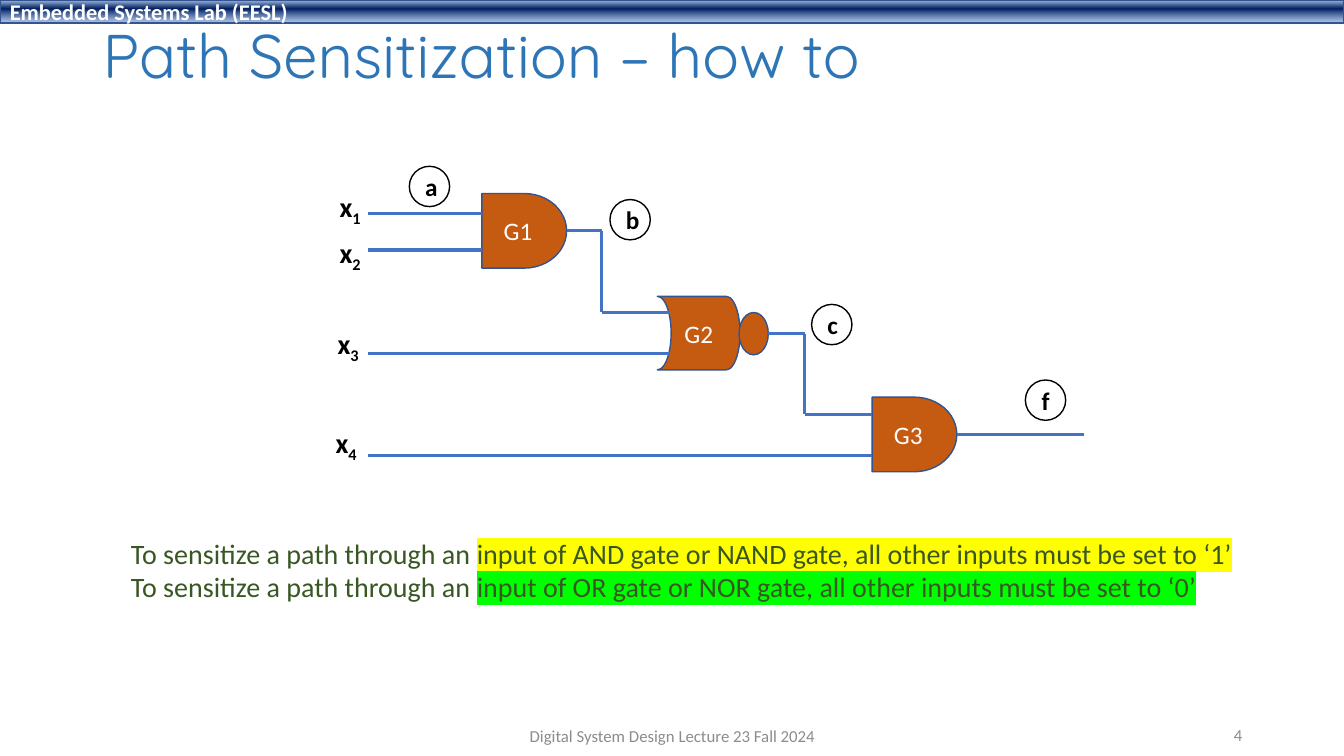
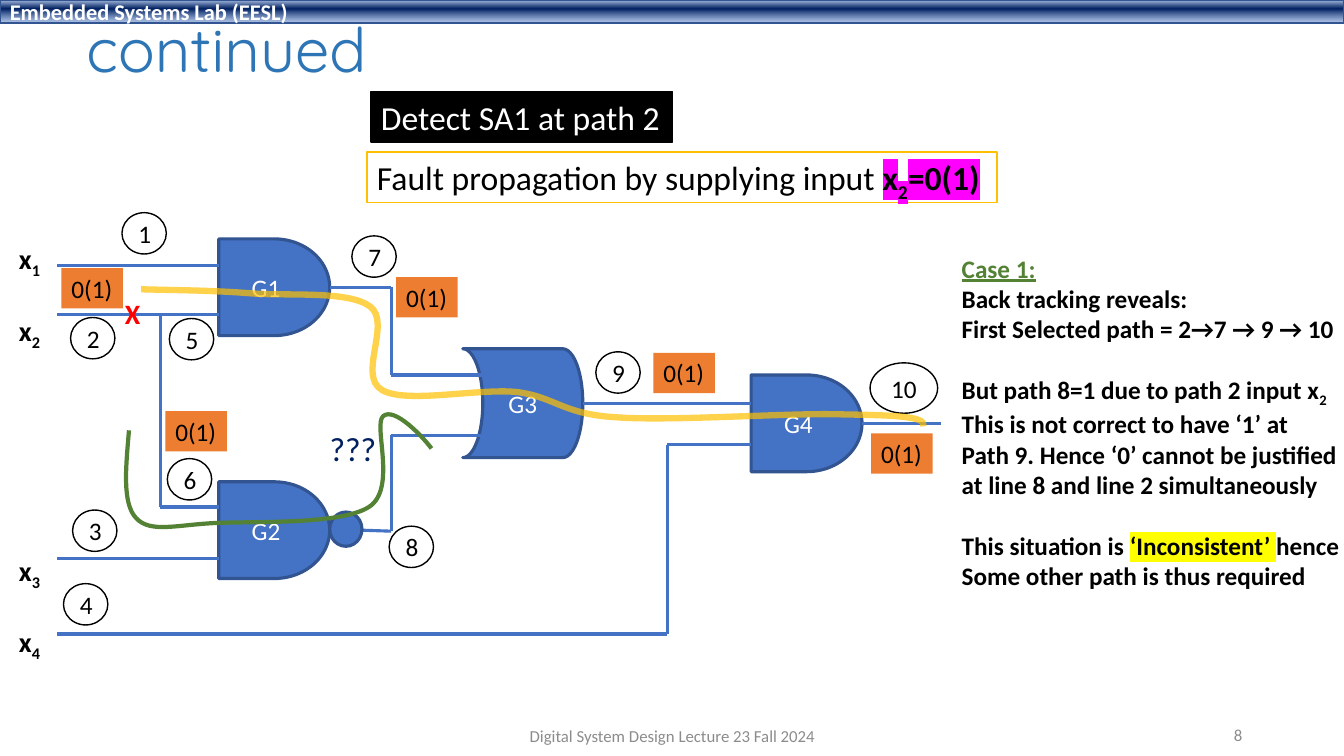
from lxml import etree
from pptx import Presentation
from pptx.dml.color import RGBColor
from pptx.enum.shapes import MSO_CONNECTOR, MSO_SHAPE
from pptx.enum.text import MSO_ANCHOR, MSO_AUTO_SIZE, PP_ALIGN
from pptx.oxml.ns import qn
from pptx.util import Inches, Pt

BLACK = RGBColor(0x00, 0x00, 0x00)
WHITE = RGBColor(0xFF, 0xFF, 0xFF)
BLUE = RGBColor(0x44, 0x72, 0xC4)
OUTLINE = RGBColor(0x32, 0x54, 0x91)
TITLE_BLUE = RGBColor(0x2E, 0x75, 0xB6)
NAVY = RGBColor(0x00, 0x20, 0x60)
RUST = RGBColor(0xC5, 0x5A, 0x11)
ORANGE = RGBColor(0xED, 0x7D, 0x31)
GOLD = RGBColor(0xFF, 0xC0, 0x00)
GREEN = RGBColor(0x54, 0x82, 0x35)
DARK_GREEN = RGBColor(0x38, 0x57, 0x23)
GREY = RGBColor(0x8C, 0x8C, 0x8C)
RED = RGBColor(0xFF, 0x00, 0x00)
YELLOW = RGBColor(0xFF, 0xFF, 0x00)
LIME = RGBColor(0x00, 0xFF, 0x00)
MAGENTA = RGBColor(0xFF, 0x00, 0xFF)
BAND_STOPS = [
    (2, RGBColor(0xAB, 0xC0, 0xE4), 100),
    (38, NAVY, 100),
    (93, RGBColor(0x7E, 0x9E, 0xD6), 64),
]
AND = MSO_SHAPE.FLOWCHART_DELAY
OR = MSO_SHAPE.FLOWCHART_STORED_DATA
SUB = {"sub": True}


def add_color(parent, color, alpha=100):
    clr = etree.SubElement(parent, qn("a:srgbClr"), val=str(color))
    if alpha < 100:
        etree.SubElement(clr, qn("a:alpha"), val=str(alpha * 1000))


def add_run(p, text, size=18, color=BLACK, bold=False, underline=False,
            sub=False, highlight=None, font="Calibri"):
    r = p.add_run()
    r.text = text
    r.font.size = Pt(size)
    r.font.bold = bold
    r.font.underline = underline
    r.font.color.rgb = color
    rpr = r.font._element
    if sub:
        rpr.set("baseline", "-25000")
    if highlight is not None:
        add_color(etree.SubElement(rpr, qn("a:highlight")), highlight)
    r.font.name = font


def fill_text(tf, paragraphs, align=PP_ALIGN.LEFT, **style):
    for i, runs in enumerate(paragraphs):
        p = tf.paragraphs[0] if i == 0 else tf.add_paragraph()
        p.alignment = align
        for text, changes in runs:
            add_run(p, text, **{**style, **changes})


def text_box(s, x, y, w, h, paragraphs, wrap=False, anchor=MSO_ANCHOR.TOP, **style):
    sp = s.shapes.add_textbox(Inches(x), Inches(y), Inches(w), Inches(h))
    tf = sp.text_frame
    tf.word_wrap = wrap
    tf.auto_size = MSO_AUTO_SIZE.NONE if wrap else MSO_AUTO_SIZE.SHAPE_TO_FIT_TEXT
    tf.vertical_anchor = anchor
    fill_text(tf, paragraphs, **style)
    return sp


def shape(s, kind, x, y, w, h, fill=None, line=OUTLINE, width=1.0):
    sp = s.shapes.add_shape(kind, Inches(x), Inches(y), Inches(w), Inches(h))
    sp.shadow.inherit = False
    if fill is None:
        sp.fill.background()
    else:
        sp.fill.solid()
        sp.fill.fore_color.rgb = fill
    sp.line.color.rgb = line
    sp.line.width = Pt(width)
    sp.text_frame.vertical_anchor = MSO_ANCHOR.MIDDLE
    return sp


def gate(s, kind, name, x, y, w, h, fill, width):
    sp = shape(s, kind, x, y, w, h, fill, width=width)
    if kind == OR:
        sp._element.spPr.xfrm.set("flipH", "1")
    fill_text(sp.text_frame, [[(name, {})]], PP_ALIGN.CENTER, color=WHITE)
    return sp


def node(s, name, x, y, w, h, bold=False):
    sp = shape(s, MSO_SHAPE.OVAL, x, y, w, h, line=BLACK)
    fill_text(sp.text_frame, [[(name, {})]], PP_ALIGN.CENTER, bold=bold)


def wire(s, *points, source=None):
    for i, ((x1, y1), (x2, y2)) in enumerate(zip(points, points[1:])):
        cn = s.shapes.add_connector(
            MSO_CONNECTOR.STRAIGHT, Inches(x1), Inches(y1), Inches(x2), Inches(y2))
        cn.line.color.rgb = BLUE
        cn.line.width = Pt(2.25)
        etree.SubElement(cn._element.spPr, qn("a:effectLst"))
        if source is not None and i == 0:
            cn.begin_connect(source, 3)


def input_label(s, number, x, y):
    text_box(s, x, y, 0.43, 0.44, [[("x", {}), (str(number), SUB)]], size=20, bold=True)


def fault_tag(s, x, y):
    sp = text_box(s, x, y, 0.61, 0.4, [[("0(1)", {})]])
    sp.fill.solid()
    sp.fill.fore_color.rgb = ORANGE


def banner(s, x, y, w, runs, fill, line, color):
    sp = text_box(s, x, y, w, 0.5, [runs], size=24, color=color)
    sp.fill.solid()
    sp.fill.fore_color.rgb = fill
    sp.line.color.rgb = line
    sp.line.width = Pt(1)


def curve(s, points, color, width, alpha=100):
    (x, y), *rest = [(Inches(px), Inches(py)) for px, py in points]
    fb = s.shapes.build_freeform(x, y)
    fb.add_line_segments(rest, close=False)
    sp = fb.convert_to_shape()
    segments = list(sp._element.spPr.iter(qn("a:lnTo")))
    for i in range(0, len(segments), 3):
        bend = etree.Element(qn("a:cubicBezTo"))
        segments[i].addprevious(bend)
        for segment in segments[i:i + 3]:
            bend.append(segment[0])
            segment.getparent().remove(segment)
    sp.shadow.inherit = False
    sp.fill.background()
    sp.line.width = Pt(width)
    sp.line.color.rgb = color
    if alpha < 100:
        solid = sp.line._ln.find(qn("a:solidFill"))
        solid.remove(solid[0])
        add_color(solid, color, alpha)


def band(s):
    sp = shape(s, MSO_SHAPE.RECTANGLE, 0, 0, 13.33, 0.23)
    sp.fill.gradient()
    sp.fill.gradient_angle = 270
    stops = sp._element.spPr.find(qn("a:gradFill")).find(qn("a:gsLst"))
    for gs in list(stops):
        stops.remove(gs)
    for pos, color, alpha in BAND_STOPS:
        add_color(etree.SubElement(stops, qn("a:gs"), pos=str(pos * 1000)), color, alpha)
    fill_text(sp.text_frame, [[("Embedded Systems Lab (EESL)", {})]],
              size=16, color=WHITE, bold=True)


def new_slide(prs, title, x, y, h, number):
    s = prs.slides.add_slide(prs.slide_layouts[6])
    band(s)
    middle = {"wrap": True, "anchor": MSO_ANCHOR.MIDDLE}
    sp = text_box(s, x, y, 11.5, h, [[(title, {})]], size=44, color=TITLE_BLUE,
                  font="Quicksand", **middle)
    sp.text_frame.paragraphs[0].line_spacing = 0.9
    text_box(s, 4.42, 7.1, 4.5, 0.4, [[("Digital System Design Lecture 23 Fall 2024", {})]],
             align=PP_ALIGN.CENTER, size=12, color=GREY, **middle)
    text_box(s, 9.42, 7.09, 3, 0.4, [[(str(number), {})]],
             align=PP_ALIGN.RIGHT, size=12, color=GREY, **middle)
    return s


def how_to_slide(prs):
    s = new_slide(prs, "Path Sensitization – how to", 0.92, 0.09, 0.99, 4)
    g1 = gate(s, AND, "G1", 4.78, 1.92, 0.84, 0.74, RUST, 1)
    gate(s, OR, "G2", 6.52, 2.94, 0.82, 0.73, RUST, 1)
    shape(s, MSO_SHAPE.OVAL, 7.33, 3.1, 0.29, 0.42, RUST)
    g3 = gate(s, AND, "G3", 8.65, 3.94, 0.84, 0.74, RUST, 1)

    for y, end in [(2.12, 4.78), (2.48, 4.78), (3.51, 6.65), (4.52, 8.65)]:
        wire(s, (3.65, y), (end, y))
    wire(s, (5.62, 2.29), (5.97, 2.29), (5.97, 3.1), (6.65, 3.1), source=g1)
    wire(s, (7.62, 3.31), (7.98, 3.31), (7.98, 4.11), (8.65, 4.11))
    wire(s, (9.49, 4.31), (10.75, 4.31), source=g3)

    for i, (x, y) in enumerate([(3.27, 1.83), (3.27, 2.29), (3.25, 3.19), (3.23, 4.17)], 1):
        input_label(s, i, x, y)
    for name, x, y in [("a", 4.06, 1.65), ("b", 6.05, 1.98), ("c", 8.05, 3.02), ("f", 10.17, 3.77)]:
        node(s, name, x, y, 0.4, 0.4, bold=True)

    rules = [("AND gate or NAND", 1, YELLOW), ("OR gate or NOR", 0, LIME)]
    text_box(s, 1.2, 5.27, 11.22, 0.77, [
        [("To sensitize a path through an ", {}),
         (f"input of {gates} gate, all other inputs must be set to ‘{value}’", {"highlight": color})]
        for gates, value, color in rules], size=20, color=DARK_GREEN)


def case_notes(s):
    sp = text_box(s, 9.44, 2.46, 3.97, 3.43, [
        [("Case 1:", {"color": GREEN, "underline": True})],
        [("Back tracking reveals:", {})],
        [("First Selected path = 2→7 → 9 → 10", {})],
        [("But path 8=1 due to path 2 input x", {}), ("2", SUB)],
        [("This is not correct to have ‘1’ at", {})],
        [("Path 9. Hence ‘0’ cannot be justified", {})],
        [("at line 8 and line 2 simultaneously", {})],
        [("This situation is ", {}), ("‘Inconsistent’ ", {"highlight": YELLOW}), ("hence", {})],
        [("Some other path is thus required", {})],
    ], bold=True)
    for i in (3, 7):
        sp.text_frame.paragraphs[i].space_before = Pt(22)


def continued_slide(prs):
    s = new_slide(prs, "continued", 0.76, 0.12, 0.81, 8)
    case_notes(s)
    banner(s, 3.68, 0.91, 2.99, [("Detect SA1 at path 2", {})], BLACK, BLACK, WHITE)
    mark = {"bold": True, "highlight": MAGENTA}
    banner(s, 3.64, 1.51, 6.25, [
        ("Fault propagation by supplying input ", {}),
        ("x", mark), ("2", {**mark, **SUB}), ("=0(1)", mark)], WHITE, GOLD, BLACK)

    g1, g2, g4 = [gate(s, AND, name, x, y, 1.1, 0.96, BLUE, 2.25)
                  for name, x, y in [("G1", 2.17, 2.37), ("G2", 2.17, 4.78), ("G4", 7.45, 3.72)]]
    gate(s, OR, "G3", 4.59, 3.46, 1.19, 1.08, BLUE, 2.25)

    wire(s, (3.27, 2.85), (3.88, 2.85), (3.88, 3.72), (4.78, 3.72), source=g1)
    wire(s, (3.59, 5.26), (3.88, 5.27), (3.88, 4.32), (4.78, 4.32))
    wire(s, (5.78, 4), (7.45, 4))
    wire(s, (8.55, 4.2), (9.33, 4.2), source=g4)
    wire(s, (7.45, 4.41), (6.62, 4.41), (6.62, 6.29), (0.57, 6.29))
    for y in (2.63, 3.12, 5.54):
        wire(s, (0.57, y), (2.17, y))
    wire(s, (1.59, 3.12), (1.59, 5.03), (2.17, 5.03))
    shape(s, MSO_SHAPE.OVAL, 3.27, 5.08, 0.32, 0.34, BLUE, width=2.25)

    text_box(s, 1.14, 2.89, 0.36, 0.44, [[("X", {})]], size=20, color=RED, bold=True)
    nodes = [(1.21, 2.11), (0.7, 3.15), (0.72, 5.06), (0.63, 5.79), (1.68, 3.16),
             (1.66, 4.55), (3.49, 2.34), (3.86, 5.22), (5.91, 3.49)]
    for i, (x, y) in enumerate(nodes, 1):
        node(s, str(i), x, y, 0.44, 0.41)
    node(s, "10", 8.63, 3.6, 0.67, 0.5)
    for i, y in enumerate([2.35, 3.06, 5.44, 6.15], 1):
        input_label(s, i, 0.09, y)
    for x, y in [(0.61, 2.66), (1.64, 4.08), (3.93, 2.75), (6.48, 3.5), (8.64, 4.3)]:
        fault_tag(s, x, y)

    curve(s, [(1.4, 2.87), (1.75, 2.88), (2.1, 2.88), (2.48, 2.91),
              (2.86, 2.94), (3.45, 2.88), (3.67, 3.04), (3.89, 3.2), (3.54, 3.73), (3.79, 3.87),
              (4.03, 4.01), (4.74, 3.85), (5.13, 3.89), (5.51, 3.94), (5.58, 4.11), (6.11, 4.14),
              (6.63, 4.18), (7.77, 4.1), (8.28, 4.11), (8.79, 4.12), (9.2, 4.12), (9.16, 4.23)],
          GOLD, 4.5, alpha=70)
    curve(s, [(1.28, 4.27), (1.25, 4.63), (1.21, 4.99), (1.35, 5.14),
              (1.49, 5.29), (1.74, 5.21), (2.12, 5.19), (2.51, 5.17), (3.38, 5.21), (3.66, 5.03),
              (3.94, 4.85), (3.7, 4.22), (3.8, 4.13), (3.91, 4.03), (4.2, 4.34), (4.28, 4.45)],
          GREEN, 3)
    text_box(s, 3.17, 4.2, 0.67, 0.5, [[("???", {})]], size=24, color=NAVY)


def main():
    prs = Presentation()
    prs.slide_width = Inches(13.33)
    prs.slide_height = Inches(7.5)
    how_to_slide(prs)
    continued_slide(prs)
    prs.save("out.pptx")


if __name__ == "__main__":
    main()
